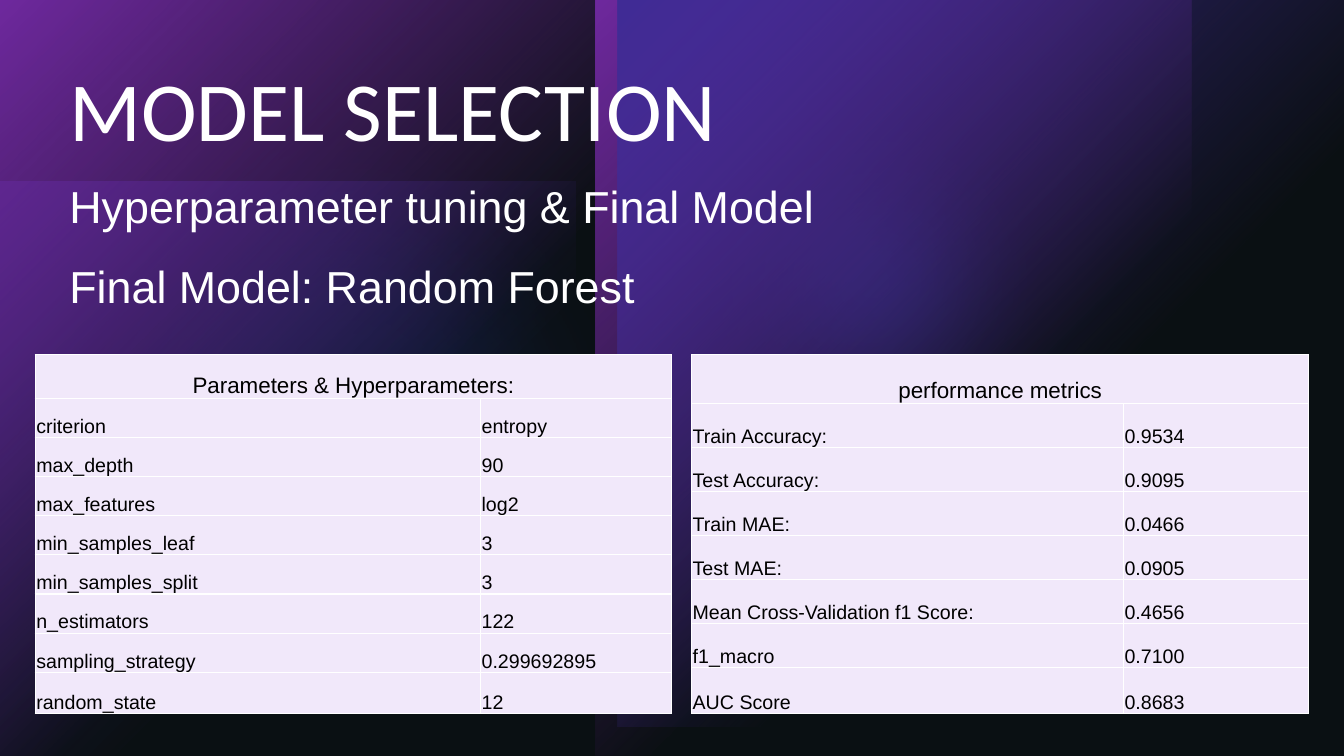
import pptx
import pptx.dml.color
import pptx.enum.shapes
import pptx.enum.text
import pptx.oxml
import pptx.oxml.ns
import pptx.util

Inches = pptx.util.Inches
Pt = pptx.util.Pt
MSO_SHAPE = pptx.enum.shapes.MSO_SHAPE
MSO_ANCHOR = pptx.enum.text.MSO_ANCHOR
PP_ALIGN = pptx.enum.text.PP_ALIGN
NAMESPACE = pptx.oxml.ns.nsdecls("a")

WIDTH, HEIGHT = 13.33, 7.5
WHITE, BLACK, LAVENDER = "FFFFFF", "000000", "F1E8FA"
VIOLET, MAGENTA, BLUE, SLATE = "592FD9", "A629E7", "294AE7", "1B2830"
LABEL_SHARE = 0.7
LAST_ROW_EXTRA = 0.02

PARAMETERS = [
    ("criterion", "entropy"),
    ("max_depth", "90"),
    ("max_features", "log2"),
    ("min_samples_leaf", "3"),
    ("min_samples_split", "3"),
    ("n_estimators", "122"),
    ("sampling_strategy", "0.299692895"),
    ("random_state", "12"),
]
METRICS = [
    ("Train Accuracy:", "0.9534"),
    ("Test Accuracy:", "0.9095"),
    ("Train MAE:", "0.0466"),
    ("Test MAE:", "0.0905"),
    ("Mean Cross-Validation f1 Score:", "0.4656"),
    ("f1_macro", "0.7100"),
    ("AUC Score", "0.8683"),
]


def rgb(value):
    """Turn a hex string into a colour."""
    return pptx.dml.color.RGBColor.from_string(value)


def format_text(para, size, font, colour):
    """Format every run of a paragraph."""
    for span in para.runs:
        span.font.size = Pt(size)
        span.font.name = font
        span.font.color.rgb = rgb(colour)


def colour_xml(colour, alpha):
    """Return a colour element with an opacity in percent."""
    return f'<a:srgbClr val="{colour}"><a:alpha val="{alpha * 1000}"/></a:srgbClr>'


def solid_xml(colour, alpha):
    """Return a translucent solid fill."""
    return f"<a:solidFill {NAMESPACE}>{colour_xml(colour, alpha)}</a:solidFill>"


def glow_xml(colour, alpha):
    """Return a circular gradient fading out from the top left corner."""
    return (
        f'<a:gradFill {NAMESPACE} rotWithShape="1"><a:gsLst>'
        f'<a:gs pos="0">{colour_xml(colour, alpha)}</a:gs>'
        f'<a:gs pos="60000">{colour_xml(colour, 0)}</a:gs></a:gsLst>'
        '<a:path path="circle"><a:fillToRect r="100000" b="100000"/></a:path>'
        "</a:gradFill>"
    )


def add_light(page, kind, box, fill_xml, softness=0):
    """Add one borderless backdrop shape, with soft edges if asked."""
    light = page.shapes.add_shape(kind, *map(Inches, box))
    light.line.fill.background()
    light.shadow.inherit = False
    light.fill.background()
    properties = light.element.spPr
    empty_fill = properties.find(pptx.oxml.ns.qn("a:noFill"))
    properties.replace(empty_fill, pptx.oxml.parse_xml(fill_xml))
    if softness:
        edge = f'<a:softEdge {NAMESPACE} rad="{Inches(softness)}"/>'
        effects = properties.find(pptx.oxml.ns.qn("a:effectLst"))
        effects.append(pptx.oxml.parse_xml(edge))


def add_backdrop(page):
    """Layer the coloured lights and the dark veil over a black background."""
    page.background.fill.solid()
    page.background.fill.fore_color.rgb = rgb(BLACK)
    square, circle = MSO_SHAPE.RECTANGLE, MSO_SHAPE.OVAL
    add_light(page, square, (0, 1.8, 5.71, 5.71), glow_xml(VIOLET, 60))
    add_light(page, circle, (6.29, 0.43, 4.72, 4.72), solid_xml(BLUE, 60), 1.25)
    add_light(page, circle, (0, 0.56, 6.94, 6.94), solid_xml(BLUE, 20), 1.25)
    for left in (0, 5.91):
        add_light(page, square, (left, 0, 5.91, HEIGHT), glow_xml(MAGENTA, 100))
    add_light(page, square, (6.13, 0, 7.21, 7.21), glow_xml(VIOLET, 100))
    add_light(page, square, (0, 0, WIDTH, HEIGHT), solid_xml(SLATE, 40))


def place_title(page, box, text):
    """Move the title placeholder above the backdrop and format it."""
    title = page.shapes.title
    title.element.getparent().append(title.element)
    title.left, title.top, title.width, title.height = map(Inches, box)
    title.text_frame.text = text
    title.text_frame.vertical_anchor = MSO_ANCHOR.MIDDLE
    para = title.text_frame.paragraphs[0]
    para.alignment = PP_ALIGN.LEFT
    para.line_spacing = 0.9
    format_text(para, 60, "Calibri", WHITE)


def add_subtitle(page, box, text):
    """Add a line of large text below the title."""
    frame = page.shapes.add_textbox(*map(Inches, box)).text_frame
    frame.word_wrap = True
    frame.auto_size = pptx.enum.text.MSO_AUTO_SIZE.SHAPE_TO_FIT_TEXT
    frame.text = text
    format_text(frame.paragraphs[0], 32, "Arial", WHITE)


def style_cell(cell, size, alignment):
    """Format a table cell with thin white borders."""
    cell.fill.solid()
    cell.fill.fore_color.rgb = rgb(LAVENDER)
    cell.vertical_anchor = MSO_ANCHOR.BOTTOM
    cell.margin_left = cell.margin_right = cell.margin_top = Inches(0.01)
    cell.margin_bottom = 0
    para = cell.text_frame.paragraphs[0]
    para.alignment = alignment
    format_text(para, size, "Arial", BLACK)
    properties = cell._tc.get_or_add_tcPr()
    for position, side in enumerate(("lnL", "lnR", "lnT", "lnB")):
        border = (
            f'<a:{side} {NAMESPACE} w="{Pt(1)}"><a:solidFill>'
            f"{colour_xml(WHITE, 100)}</a:solidFill></a:{side}>"
        )
        properties.insert(position, pptx.oxml.parse_xml(border))


def add_result_table(page, box, heading, entries, heading_height):
    """Add a two-column table under a merged heading row."""
    left, top, width, height = box
    frame = page.shapes.add_table(len(entries) + 1, 2, *map(Inches, box))
    table = frame.table
    table.first_row = table.horz_banding = False
    for column, share in zip(table.columns, (LABEL_SHARE, 1 - LABEL_SHARE)):
        column.width = Inches(width * share)
    row_height = (height - heading_height - LAST_ROW_EXTRA) / len(entries)
    for row in table.rows:
        row.height = Inches(row_height)
    table.rows[0].height = Inches(heading_height)
    table.rows[len(entries)].height = Inches(row_height + LAST_ROW_EXTRA)
    table.cell(0, 0).merge(table.cell(0, 1))
    table.cell(0, 0).text = heading
    for column in range(2):
        style_cell(table.cell(0, column), 16, PP_ALIGN.CENTER)
    for row, entry in enumerate(entries, 1):
        for column, text in enumerate(entry):
            cell = table.cell(row, column)
            cell.text = text
            style_cell(cell, 14, PP_ALIGN.LEFT)


def main():
    """Build the model selection slide."""
    deck = pptx.Presentation()
    deck.slide_width, deck.slide_height = Inches(WIDTH), Inches(HEIGHT)
    page = deck.slides.add_slide(deck.slide_layouts[5])
    add_backdrop(page)
    place_title(page, (0.59, 0.59, 12.14, 1.09), "MODEL SELECTION")
    add_subtitle(page, (0.59, 1.72, 7.76, 0.64), "Hyperparameter tuning & Final Model")
    add_result_table(
        page, (0.35, 3.52, 6.31, 3.56), "Parameters & Hyperparameters:", PARAMETERS, 0.43
    )
    add_result_table(
        page, (6.86, 3.52, 6.12, 3.56), "performance metrics", METRICS, 0.48
    )
    add_subtitle(page, (0.59, 2.52, 7.76, 0.64), "Final Model: Random Forest")
    deck.save("out.pptx")


if __name__ == "__main__":
    main()
